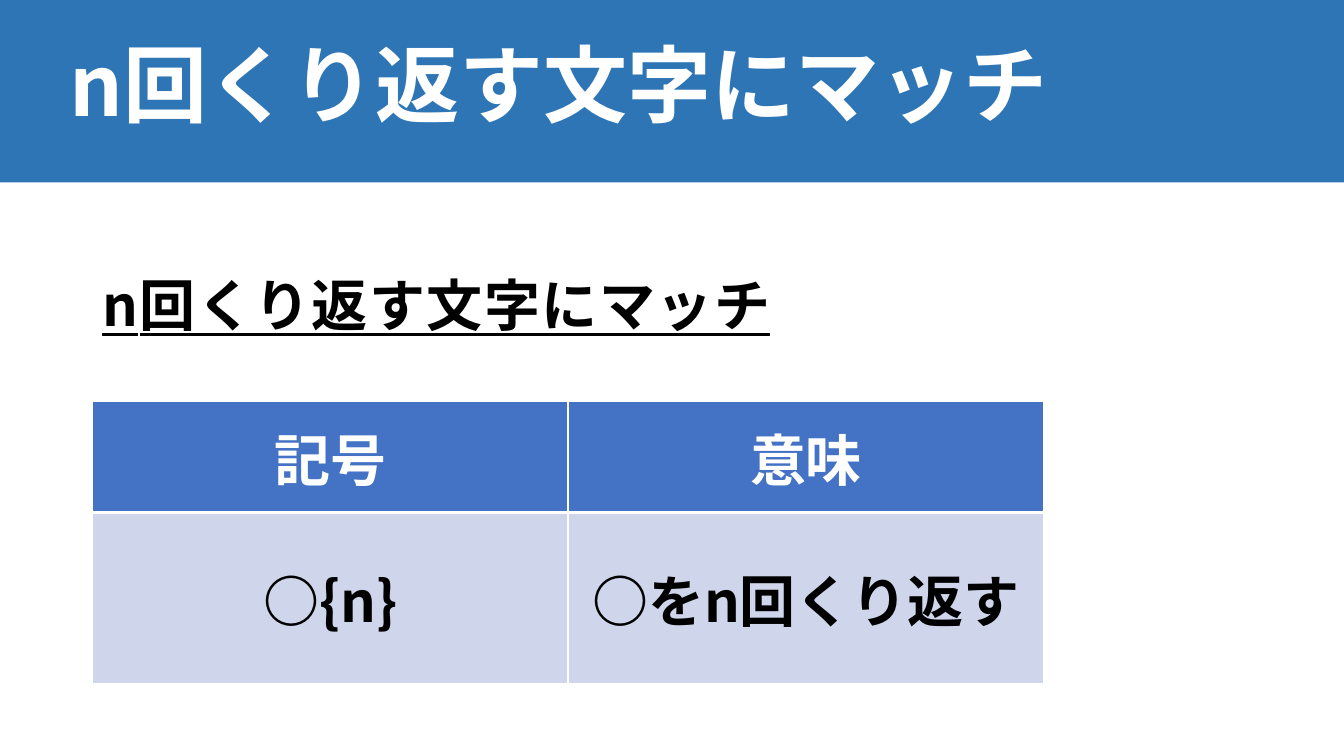
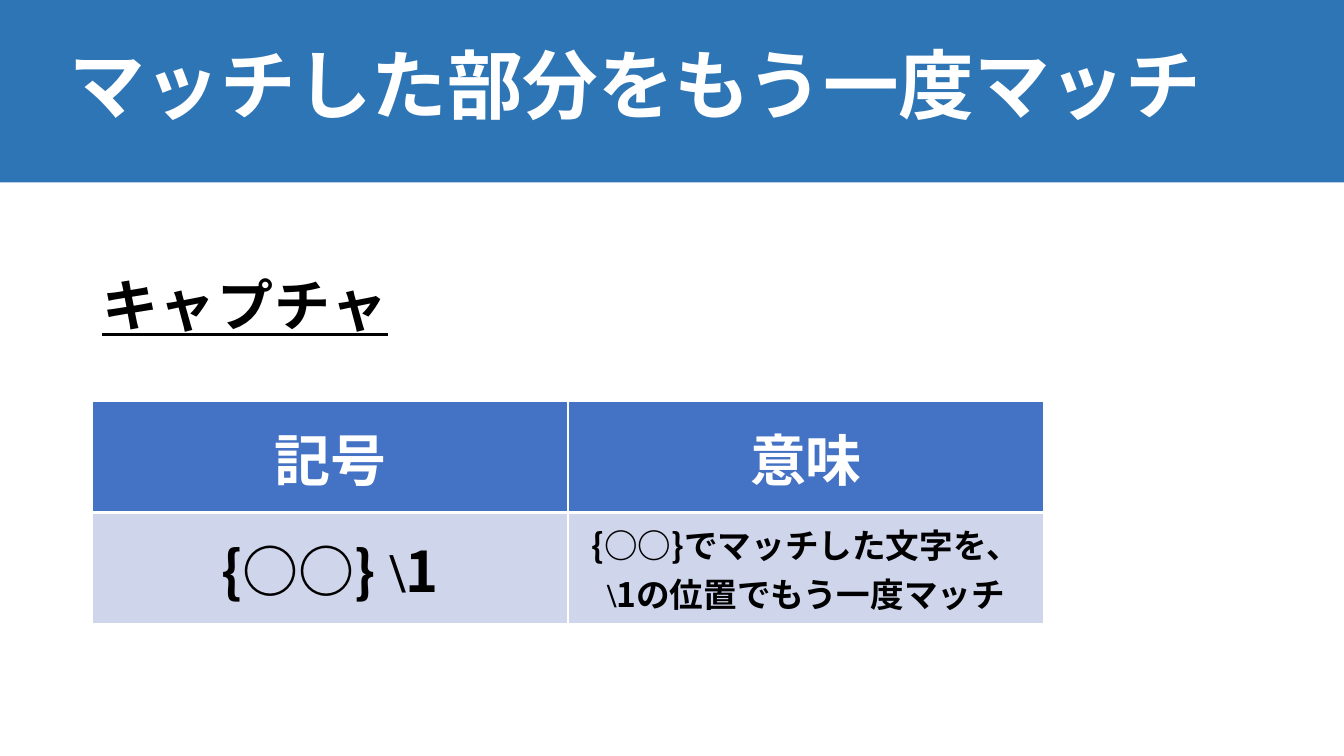
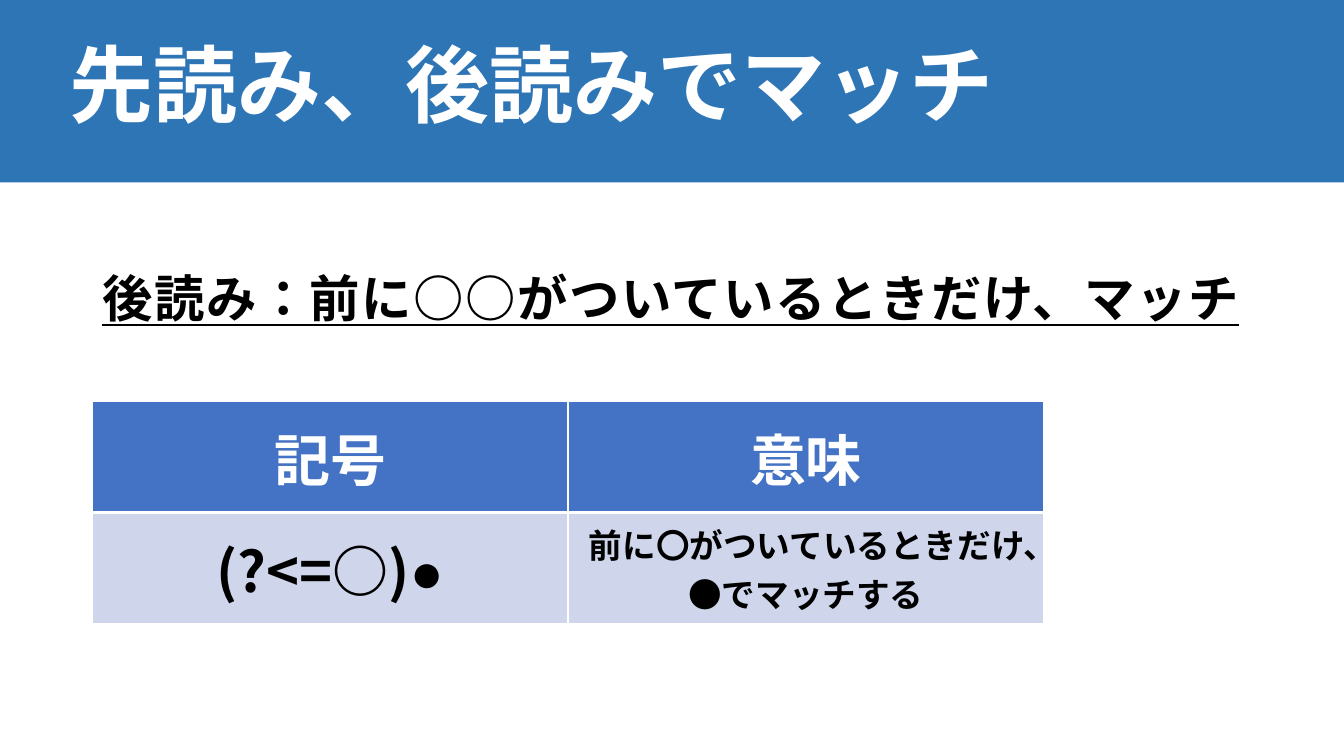
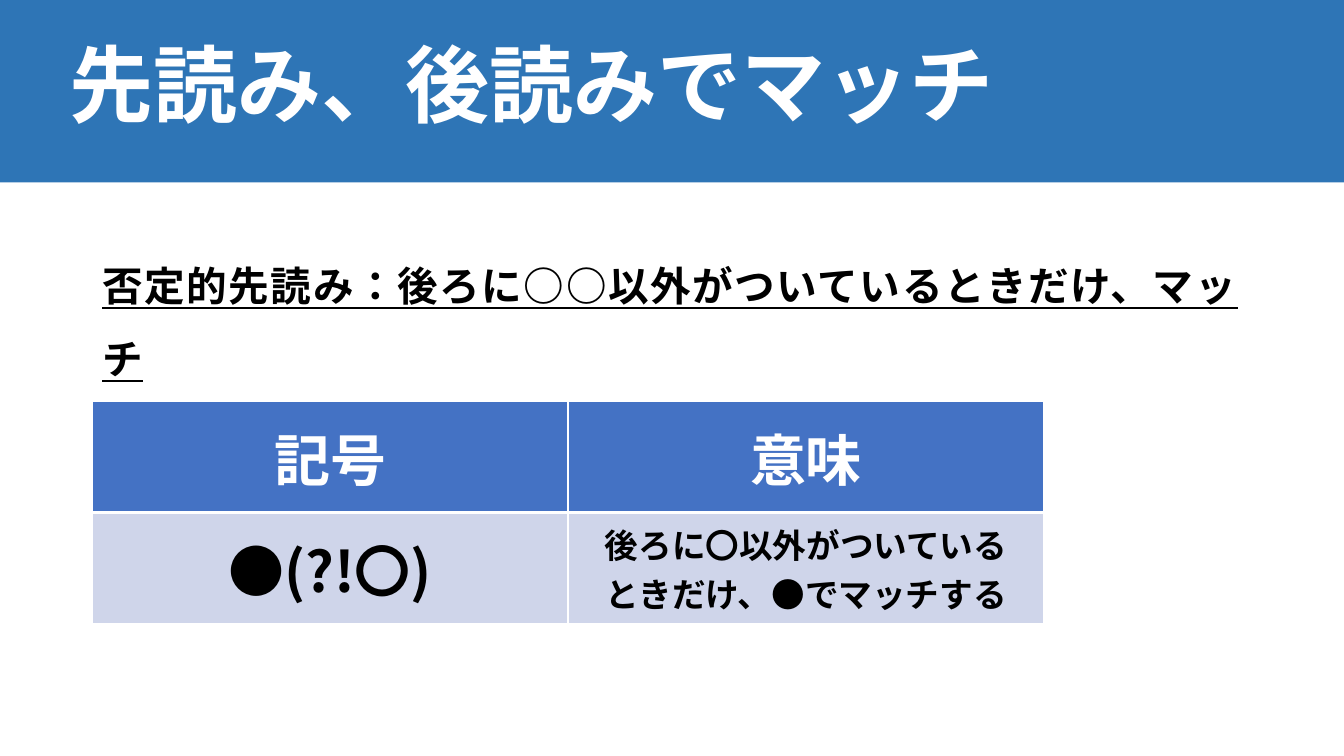
import pptx
import pptx.dml.color
import pptx.enum.lang
import pptx.enum.shapes
import pptx.enum.text
import pptx.oxml.ns
import pptx.util
from lxml import etree

Pt = pptx.util.Pt
qn = pptx.oxml.ns.qn
MIDDLE = pptx.enum.text.MSO_ANCHOR.MIDDLE
CENTER = pptx.enum.text.PP_ALIGN.CENTER

# Shared look
SANS, SERIF = "Noto Sans CJK JP", "Times New Roman"
BAND, HEADER, BODY_ROW = "2E75B6", "4472C4", "CFD5EA"
WHITE, BLACK = "FFFFFF", "000000"
FONT = {"bold": True, "language_id": pptx.enum.lang.MSO_LANGUAGE_ID.JAPANESE}
TITLE_PARA = {"line_spacing": 0.9}
LEAD_PARA = {"line_spacing": 1.5}
CELL_PARA = {"alignment": CENTER}
MARGIN, TEXT_WIDTH = 66, 828
COLUMN_WIDTH = 339.8
ROW_HEIGHT, TALL_ROW_HEIGHT = 79.5, 122.5
HEADINGS = [[("記号", SANS)]], [[("意味", SANS)]]

# Each cell is a list of paragraphs, each paragraph a list of (text, font) runs
SLIDES = [
    {
        "title": ("n回くり返す文字にマッチ", 60),
        "lead": ("n回くり返す文字にマッチ", 40),
        "symbol": [[("○{n}", SANS)]],
        "meaning": [[("○をn回くり返す", SANS)]],
        "meaning_size": 40,
        "body_height": TALL_ROW_HEIGHT,
    },
    {
        "title": ("マッチした部分をもう一度マッチ", 54),
        "lead": ("キャプチャ", 40),
        "symbol": [[("{○○}", SANS), (" \\", SERIF), ("1", SANS)]],
        "meaning": [[("{○○}でマッチした文字を、", SANS), ("\\", SERIF),
                     ("1の位置でもう一度マッチ", SANS)]],
        "meaning_size": 24,
        "body_height": ROW_HEIGHT,
    },
    {
        "title": ("先読み、後読みでマッチ", 60),
        "lead": ("後読み：前に○○がついているときだけ、マッチ", 36),
        "symbol": [[("(?<=○)", SANS), ("●", SERIF)]],
        "meaning": [[("前に〇がついているときだけ、●でマッチする", SANS)]],
        "meaning_size": 24,
        "body_height": ROW_HEIGHT,
    },
    {
        "title": ("先読み、後読みでマッチ", 60),
        "lead": ("否定的先読み：後ろに○○以外がついているときだけ、マッチ", 29),
        "symbol": [[("●(?!〇)", SANS)]],
        "meaning": [[("後ろに〇以外がついている", SANS)],
                    [("ときだけ、●でマッチする", SANS)]],
        "meaning_size": 24,
        "body_height": ROW_HEIGHT,
    },
]


def color(value):
    return pptx.dml.color.RGBColor.from_string(value)


def write(frame, paragraphs, size, ink, para_format, underline=False):
    frame.word_wrap = True
    for index, runs in enumerate(paragraphs):
        para = frame.add_paragraph() if index else frame.paragraphs[0]
        for name, value in para_format.items():
            setattr(para, name, value)
        for text, typeface in runs:
            span = para.add_run()
            span.text = text
            values = FONT | {"size": Pt(size), "name": typeface}
            if underline:
                values["underline"] = True
            for name, value in values.items():
                setattr(span.font, name, value)
            span.font.color.rgb = color(ink)
            properties = span.font._element
            east_asian = etree.Element(qn("a:ea"), typeface=typeface)
            properties.find(qn("a:latin")).addnext(east_asian)
            if underline:
                properties.set("spc", "110")


deck = pptx.Presentation()
deck.slide_width, deck.slide_height = Pt(960), Pt(540)

for content in SLIDES:
    page = deck.slides.add_slide(deck.slide_layouts[6])

    # Title band
    band = page.shapes.add_shape(
        pptx.enum.shapes.MSO_SHAPE.RECTANGLE, 0, 0, deck.slide_width, Pt(130.3))
    band.shadow.inherit = False
    band.fill.solid()
    band.fill.fore_color.rgb = color(BAND)
    band.line.fill.background()

    # Title
    text, size = content["title"]
    box = page.shapes.add_textbox(Pt(42.5), Pt(11.5), Pt(TEXT_WIDTH), Pt(104.4))
    box.text_frame.vertical_anchor = MIDDLE
    write(box.text_frame, [[(text, SANS)]], size, WHITE, TITLE_PARA)

    # Underlined lead
    text, size = content["lead"]
    box = page.shapes.add_textbox(Pt(MARGIN), Pt(165.6), Pt(TEXT_WIDTH), Pt(342.7))
    write(box.text_frame, [[(text, SANS)]], size, BLACK, LEAD_PARA, underline=True)

    # Table of symbol and meaning
    heights = ROW_HEIGHT, content["body_height"]
    table = page.shapes.add_table(
        2, 2, Pt(MARGIN), Pt(286.6), Pt(2 * COLUMN_WIDTH), Pt(sum(heights))).table
    rows = [
        (HEADINGS, (40, 40), WHITE, HEADER, {"L": 1, "R": 1, "T": 1, "B": 3}),
        ((content["symbol"], content["meaning"]), (40, content["meaning_size"]),
         BLACK, BODY_ROW, {"L": 1, "R": 1, "T": 3, "B": 1}),
    ]
    for row, (texts, sizes, ink, fill, borders) in enumerate(rows):
        table.rows[row].height = Pt(heights[row])
        for column, (paragraphs, size) in enumerate(zip(texts, sizes)):
            cell = table.cell(row, column)
            cell.vertical_anchor = MIDDLE
            write(cell.text_frame, paragraphs, size, ink, CELL_PARA)
            properties = cell._tc.get_or_add_tcPr()
            for side, width in borders.items():
                line = etree.SubElement(properties, qn("a:ln" + side), w=str(Pt(width)))
                solid = etree.SubElement(line, qn("a:solidFill"))
                etree.SubElement(solid, qn("a:srgbClr"), val=WHITE)
            cell.fill.solid()
            cell.fill.fore_color.rgb = color(fill)

deck.save("out.pptx")
